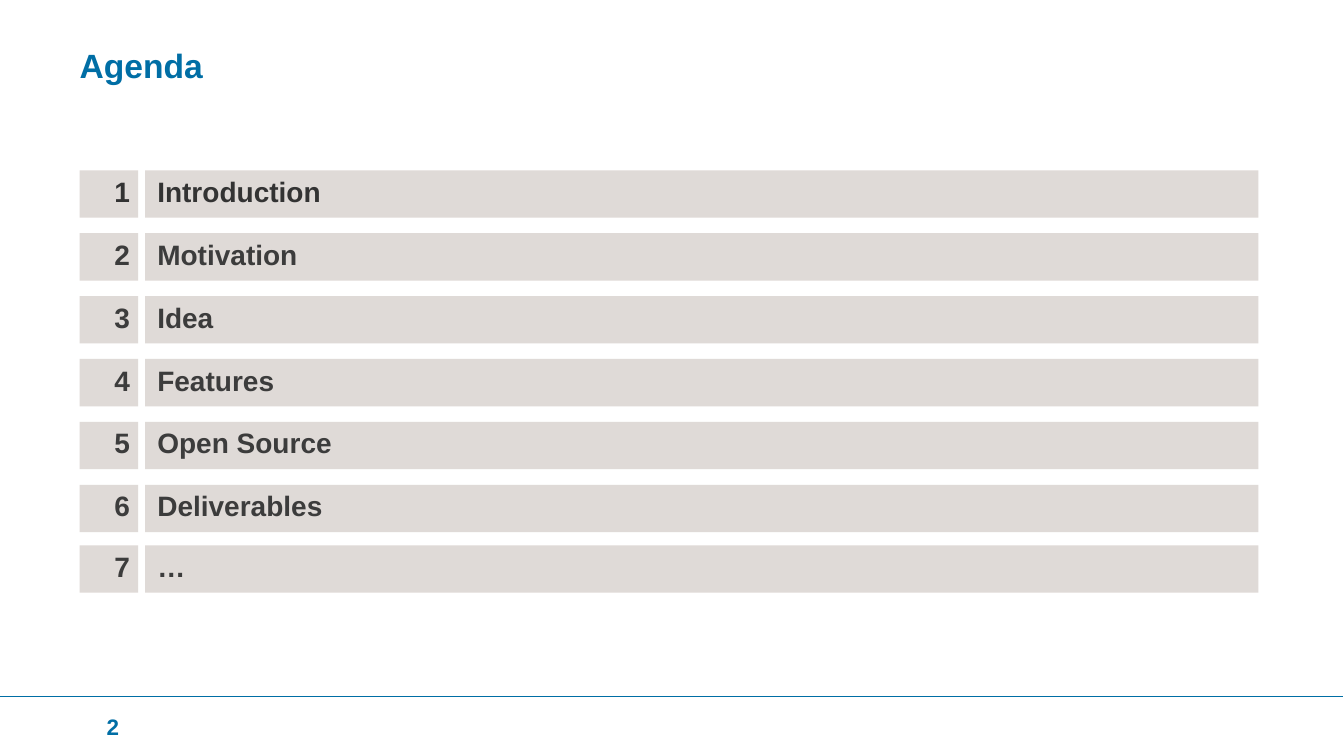
from pptx import Presentation
from pptx.dml.color import RGBColor
from pptx.enum import shapes, text
from pptx.oxml.ns import qn
from pptx.util import Inches, Pt
from lxml import etree

# Content
TITLE = "Agenda"
PAGE = "2"
TOPICS = ["Introduction", "Motivation", "Idea", "Features",
          "Open Source", "Deliverables", "…"]

# Style
FONT = "Arial"
BLUE = RGBColor(0x00, 0x6E, 0xA5)
BAR = RGBColor(0xDF, 0xDA, 0xD7)
FIRST = RGBColor(0x33, 0x33, 0x33)
DARK = RGBColor(0x3C, 0x3C, 0x3C)
LEFT, RIGHT = text.PP_ALIGN.LEFT, text.PP_ALIGN.RIGHT
TOP, MIDDLE = text.MSO_ANCHOR.TOP, text.MSO_ANCHOR.MIDDLE

# Layout in inches
MARGIN = 0.79
ROW_TOP, ROW_STEP, ROW_H = 1.69, 0.624, 0.47
LAST_TOP = 5.41  # the last row sits slightly closer
NUMBER_W = 0.58
TOPIC_X, TOPIC_W = 1.44, 11.04

prs = Presentation()
prs.slide_width, prs.slide_height = Inches(13.33), Inches(7.5)
s = prs.slides.add_slide(prs.slide_layouts[6])


def write(sp, words, size, color, align=LEFT, anchor=TOP, inset=(0, 0), before=0):
    tf = sp.text_frame
    tf.text = words
    tf.word_wrap = True
    tf.vertical_anchor = anchor
    tf.margin_left = tf.margin_right = Inches(inset[0])
    tf.margin_top = tf.margin_bottom = Inches(inset[1])
    p = tf.paragraphs[0]
    p.alignment = align
    p.space_before = Pt(before)
    f = p.runs[0].font
    f.name, f.size, f.bold = FONT, Pt(size), True
    f.color.rgb = color


def add_label(words, x, y, w, h, size, **style):
    sp = s.shapes.add_textbox(Inches(x), Inches(y), Inches(w), Inches(h))
    write(sp, words, size, BLUE, **style)


def add_bar(words, x, y, w, color, align, inset):
    sp = s.shapes.add_shape(shapes.MSO_SHAPE.RECTANGLE,
                            Inches(x), Inches(y), Inches(w), Inches(ROW_H))
    sp.shadow.inherit = False
    sp.fill.solid()
    sp.fill.fore_color.rgb = BAR
    sp.line.fill.background()
    write(sp, words, 20, color, align, inset=(inset, 0.04), before=6)


# Footer
add_label(PAGE, MARGIN, 7.01, 0.39, 0.4, 16, align=RIGHT, anchor=MIDDLE)
rule = s.shapes.add_connector(shapes.MSO_CONNECTOR.STRAIGHT,
                              0, Inches(6.91), Inches(13.32), Inches(6.91))
rule.line.color.rgb = BLUE
rule.line.width = Pt(0.5)
etree.SubElement(rule.element.spPr, qn("a:effectLst"))

# Title
add_label(TITLE, MARGIN, 0.45, 9.98, 0.33, 24)

# Agenda rows
for i, topic in enumerate(TOPICS):
    y = LAST_TOP if i == len(TOPICS) - 1 else ROW_TOP + i * ROW_STEP
    color = DARK if i else FIRST
    add_bar(str(i + 1), MARGIN, y, NUMBER_W, color, RIGHT, 0.08)
    add_bar(topic, TOPIC_X, y, TOPIC_W, color, LEFT, 0.12)

prs.save("out.pptx")
